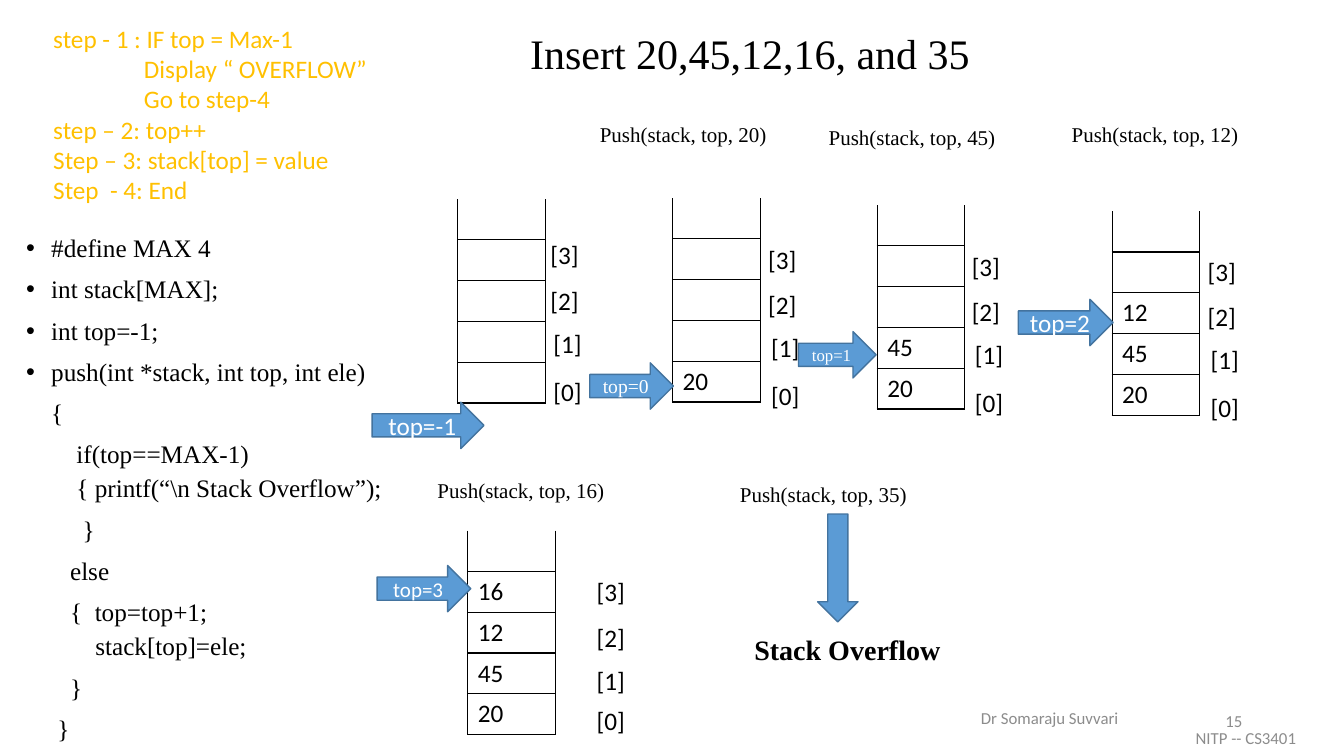
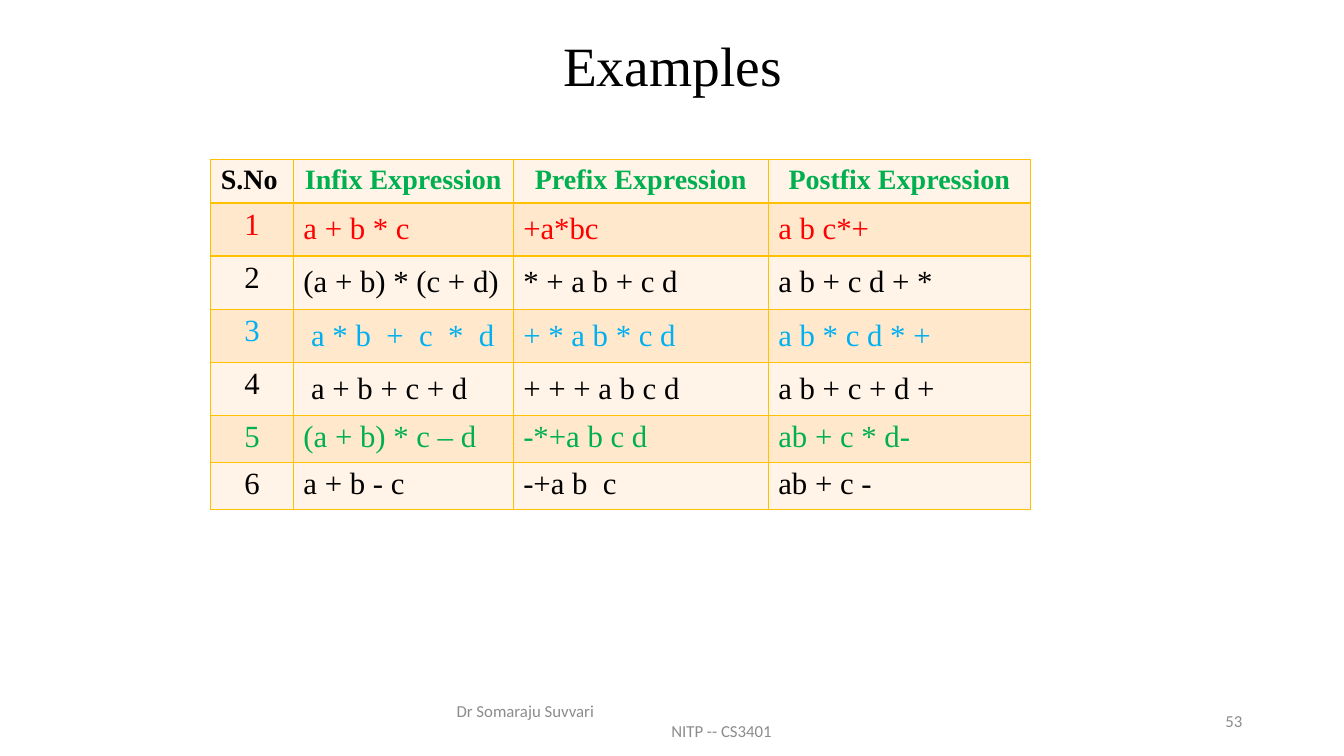
from lxml import etree
from pptx import Presentation
from pptx.dml.color import RGBColor
from pptx.enum.shapes import MSO_SHAPE
from pptx.enum.text import MSO_ANCHOR, PP_ALIGN
from pptx.oxml.ns import qn
from pptx.util import Inches, Pt

LEFT, CENTER, RIGHT = PP_ALIGN.LEFT, PP_ALIGN.CENTER, PP_ALIGN.RIGHT
TOP, MIDDLE = MSO_ANCHOR.TOP, MSO_ANCHOR.MIDDLE
RIGHT_ARROW, DOWN_ARROW = MSO_SHAPE.RIGHT_ARROW, MSO_SHAPE.DOWN_ARROW

SERIF, SANS = "Times New Roman", "Calibri"
BLACK = RGBColor(0x00, 0x00, 0x00)
WHITE = RGBColor(0xFF, 0xFF, 0xFF)
GOLD = RGBColor(0xFF, 0xC0, 0x00)
GRAY = RGBColor(0x8C, 0x8C, 0x8C)
BLUE = RGBColor(0x5B, 0x9B, 0xD5)
DARK_BLUE = RGBColor(0x43, 0x73, 0x9E)
RED = RGBColor(0xFF, 0x00, 0x00)
GREEN = RGBColor(0x00, 0xB0, 0x50)
SKY = RGBColor(0x00, 0xB0, 0xF0)
CREAM = RGBColor(0xFF, 0xF4, 0xE7)
PEACH = RGBColor(0xFF, 0xE8, 0xCC)


def add_text(slide, box, lines, size, font=SERIF, color=BLACK,
             align=LEFT, anchor=TOP, bold=False):
    """Add a text box; each line is (text, left indent in inches)."""
    frame = slide.shapes.add_textbox(*map(Inches, box)).text_frame
    frame.word_wrap = True
    frame.vertical_anchor = anchor
    for number, (text, indent) in enumerate(lines):
        paragraph = frame.paragraphs[0] if number == 0 else frame.add_paragraph()
        paragraph.text = text
        paragraph.alignment = align
        if indent:
            paragraph._p.get_or_add_pPr().set("marL", str(Inches(indent)))
        paragraph.font.size = Pt(size)
        paragraph.font.name = font
        paragraph.font.bold = bold
        paragraph.font.color.rgb = color
    return frame


def set_borders(cell, color, sides="LRTB"):
    """Draw 1 pt borders on the given sides and clear the others."""
    properties = cell._tc.get_or_add_tcPr()
    for side in "LRTB":
        line = etree.SubElement(properties, qn("a:ln" + side), w=str(Pt(1)))
        if side in sides:
            fill = etree.SubElement(line, qn("a:solidFill"))
            etree.SubElement(fill, qn("a:srgbClr"), val=str(color))
        else:
            etree.SubElement(line, qn("a:noFill"))


prs = Presentation()
prs.slide_width, prs.slide_height = Inches(13.33), Inches(7.5)
push_slide, examples_slide = [prs.slides.add_slide(prs.slide_layouts[6]) for _ in range(2)]

# Footers and slide numbers
FOOTER = [("Dr Somaraju Suvvari", 0), ("NITP -- CS3401", 2.13)]
for slide, footer_box, number in [
    (push_slide, (9.63, 7.02, 3.49, 0.4), "15"),
    (examples_slide, (4.43, 6.95, 4.5, 0.4), "53"),
]:
    add_text(slide, footer_box, FOOTER, 12, SANS, GRAY, anchor=MIDDLE)
    add_text(slide, (9.42, 6.95, 3, 0.4), [(number, 0)], 12, SANS, GRAY, RIGHT, MIDDLE)

# Titles
add_text(push_slide, (5.16, 0.22, 6.27, 0.61), [("Insert 20,45,12,16, and 35", 0)], 30)
add_text(examples_slide, (0.92, 0.36, 11.5, 0.56), [("Examples", 0)], 39.6,
         align=CENTER, anchor=MIDDLE)

# Algorithm steps
add_text(push_slide, (0.43, 0.18, 3.47, 1.92), [
    ("step - 1 : IF top = Max-1", 0),
    ("Display “ OVERFLOW”", 0.9),
    ("Go to step-4", 0.9),
    ("step – 2: top++", 0),
    ("Step – 3: stack[top] = value", 0),
    ("Step  - 4: End", 0),
], 18, SANS, GOLD)

# Push code: the first four lines are bullets, the nested ones sit closer
code = add_text(push_slide, (0.16, 2.29, 3.81, 5.38), [
    ("#define MAX 4", 0.25),
    ("int stack[MAX];", 0.25),
    ("int top=-1;", 0.25),
    ("push(int *stack, int top, int ele)", 0.25),
    ("    {", 0),
    ("        if(top==MAX-1)", 0),
    ("{ printf(“\\n Stack Overflow”);", 0.5),
    ("         }", 0),
    ("       else", 0),
    ("       {  top=top+1;", 0),
    ("   stack[top]=ele;", 0.5),
    ("       }", 0),
    ("     }", 0),
], 18)
for number, paragraph in enumerate(code.paragraphs):
    paragraph.line_spacing = 0.9
    if number:
        paragraph.space_before = Pt(5 if number in (6, 10) else 10)
    if number < 4:
        properties = paragraph._p.get_or_add_pPr()
        properties.set("indent", str(Inches(-0.25)))
        default_run = properties.find(qn("a:defRPr"))
        default_run.addprevious(etree.Element(qn("a:buFont"), typeface="Arial"))
        default_run.addprevious(etree.Element(qn("a:buChar"), char="•"))

# Stacks: position, values from the bottom up, arrow box, arrow text size and font,
# place of the [3] label, shift of the lower labels, drop to the [0] label
STACKS = [
    (4.54, 1.57, [], (3.69, 3.99, 1.11), 18, SANS, (5.36, 2.33), 0.03, 1.35),
    (6.67, 1.56, [20], (5.85, 3.6, 0.83), 14, SERIF, (7.52, 2.37), 0.03, 1.35),
    (8.7, 1.63, [20, 45], (7.92, 3.29, 0.77), 12, SERIF, (9.54, 2.44), 0.03, 1.35),
    (11.03, 1.69, [20, 45, 12], (10.1, 2.97, 0.94), 18, SANS, (11.88, 2.49), 0.03, 1.35),
    (4.64, 4.86, [20, 45, 12, 16], (3.74, 5.61, 0.93), 15, SANS, (5.82, 5.67), 0, 1.28),
]
CELL_COUNT = 6
ROW_SIDES = ["", "LRB"] + ["LRTB"] * 4  # open at the top
for left, top, values, arrow_box, size, font, (label_x, label_y), shift, drop in STACKS:
    stack = push_slide.shapes.add_table(
        CELL_COUNT, 1, Inches(left), Inches(top), Inches(0.87), Inches(2.43)).table
    stack.first_row = stack.horz_banding = False
    for row, sides in enumerate(ROW_SIDES):
        cell = stack.cell(row, 0)
        set_borders(cell, BLACK, sides)
        cell.fill.background()
        slot = CELL_COUNT - 1 - row
        paragraph = cell.text_frame.paragraphs[0]
        if slot < len(values):
            paragraph.text = str(values[slot])
        paragraph.font.size = Pt(18)
        paragraph.font.name = SANS
        paragraph.font.color.rgb = BLACK

    for index, dx, dy in [(3, 0, 0), (2, 0, 0.45), (1, shift, 0.88), (0, shift, drop)]:
        add_text(push_slide, (label_x + dx, label_y + dy, 0.64, 0.4),
                 [(f"[{index}]", 0)], 18, SANS)

    pointer = push_slide.shapes.add_shape(RIGHT_ARROW, *map(Inches, (*arrow_box, 0.46)))
    pointer.shadow.inherit = False
    pointer.fill.solid()
    pointer.fill.fore_color.rgb = BLUE
    pointer.line.color.rgb = DARK_BLUE
    pointer.line.width = Pt(1)
    pointer.text_frame.vertical_anchor = MIDDLE
    paragraph = pointer.text_frame.paragraphs[0]
    paragraph.text = f"top={len(values) - 1}"
    paragraph.alignment = CENTER
    paragraph.font.size = Pt(size)
    paragraph.font.name = font
    paragraph.font.color.rgb = WHITE

# Push calls
for value, left, top in [(20, 5.85, 1.16), (45, 8.12, 1.19), (12, 10.53, 1.16),
                         (16, 4.24, 4.69), (35, 7.24, 4.73)]:
    add_text(push_slide, (left, top, 1.88, 0.35), [(f"Push(stack, top, {value})", 0)], 15)

# Overflow result
overflow_arrow = push_slide.shapes.add_shape(
    DOWN_ARROW, Inches(8.11), Inches(5.1), Inches(0.4), Inches(1.07))
overflow_arrow.shadow.inherit = False
overflow_arrow.fill.solid()
overflow_arrow.fill.fore_color.rgb = BLUE
overflow_arrow.line.color.rgb = DARK_BLUE
overflow_arrow.line.width = Pt(1)
add_text(push_slide, (7.08, 6.23, 2.65, 0.44), [("Stack Overflow", 0)], 20,
         align=CENTER, bold=True)

# Expression table
EXPRESSIONS = [
    ("S.No", "Infix Expression", "Prefix Expression", "Postfix Expression"),
    ("1", "a + b * c", "+a*bc", "a b c*+"),
    ("2", "(a + b) * (c + d)", "* + a b + c d", "a b + c d + *"),
    ("3", " a * b  +  c  *  d", "+ * a b * c d", "a b * c d * +"),
    ("4", " a + b + c + d", "+ + + a b c d", "a b + c + d +"),
    ("5", "(a + b) * c – d", "-*+a b c d", "ab + c * d-"),
    ("6", "a + b - c", "-+a b  c", "ab + c -"),
]
ROW_COLORS = [GREEN, RED, BLACK, SKY, BLACK, GREEN, BLACK]
COLUMN_WIDTHS = [0.82, 2.18, 2.53, 2.6]
ROW_HEIGHT = 0.41
expressions_frame = examples_slide.shapes.add_table(
    len(EXPRESSIONS), len(COLUMN_WIDTHS), Inches(2.09), Inches(1.58),
    Inches(sum(COLUMN_WIDTHS)), Inches(ROW_HEIGHT * len(EXPRESSIONS)))
expressions = expressions_frame.table
expressions.first_row = expressions.horz_banding = False
for column, width in enumerate(COLUMN_WIDTHS):
    expressions.columns[column].width = Inches(width)
for row, texts in enumerate(EXPRESSIONS):
    for column, text in enumerate(texts):
        cell = expressions.cell(row, column)
        set_borders(cell, GOLD)
        cell.fill.solid()
        cell.fill.fore_color.rgb = PEACH if row % 2 else CREAM
        if 1 <= row <= 4 and column:
            cell.vertical_anchor = MIDDLE
            cell.margin_top = cell.margin_bottom = Inches(0.08)
        is_header = row == 0
        paragraph = cell.text_frame.paragraphs[0]
        paragraph.text = text
        paragraph.alignment = CENTER if is_header != (column == 0) else LEFT
        paragraph.font.size = Pt(20 if is_header else 22)
        paragraph.font.name = SERIF
        paragraph.font.bold = is_header
        paragraph.font.color.rgb = BLACK if is_header and column == 0 else ROW_COLORS[row]
expressions_frame.height = Inches(3.5)

prs.save("out.pptx")
